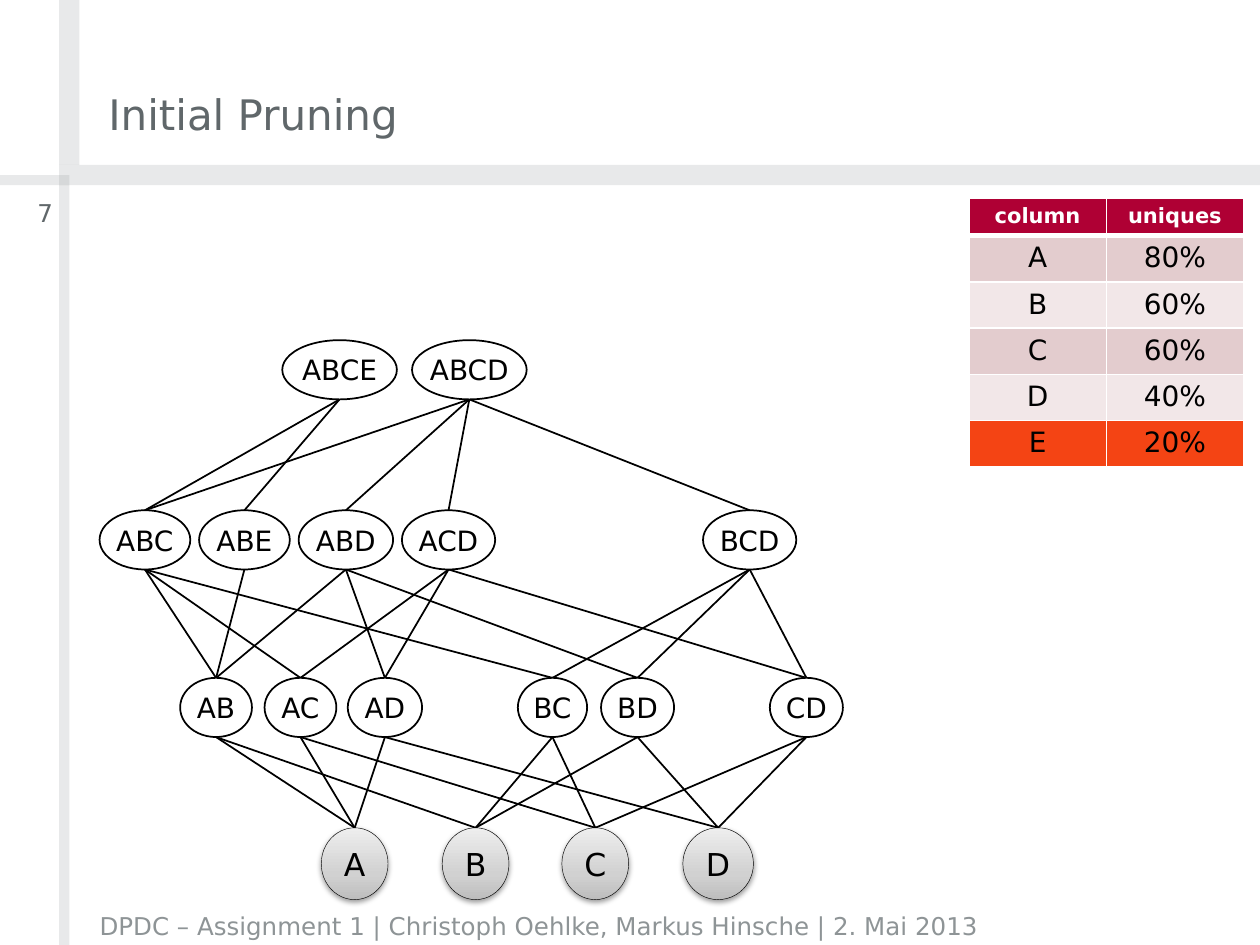
"""Build the slide on initial pruning of a column combination lattice."""
import dataclasses
import itertools

import lxml.etree
import pptx
import pptx.dml.color
import pptx.enum.shapes
import pptx.enum.text
import pptx.oxml
import pptx.oxml.ns
import pptx.util

Inches = pptx.util.Inches
RGBColor = pptx.dml.color.RGBColor
Align = pptx.enum.text.PP_ALIGN
Anchor = pptx.enum.text.MSO_ANCHOR
Shapes = pptx.enum.shapes.MSO_SHAPE
qn = pptx.oxml.ns.qn
NAMESPACE = pptx.oxml.ns.nsdecls("a")


@dataclasses.dataclass(frozen=True)
class Theme:
    font: str = "DejaVu Sans"
    black: str = "000000"
    white: str = "FFFFFF"
    gray: str = "8E9496"
    slate: str = "60676A"
    header: str = "AF0034"
    bands: tuple = ("E3CCCE", "F2E7E8")
    pruned: str = "F44414"
    gradient: tuple = ((0, "BDBDBD"), (35, "D1D1D1"), (100, "EEEEEE"))
    title_size: int = 24
    column_size: int = 18
    node_size: int = 16
    footer_size: int = 14
    header_size: int = 12


theme = Theme()


def write(frame, text, size, color=theme.black, bold=False, align=Align.LEFT,
          anchor=None, wrap=None, margin=None):
    """Put one formatted line of text into a text frame."""
    if anchor is not None:
        frame.vertical_anchor = anchor
    if wrap is not None:
        frame.word_wrap = wrap
    if margin is not None:
        frame.margin_left = frame.margin_right = Inches(margin)
        frame.margin_top = frame.margin_bottom = Inches(margin)
    paragraph = frame.paragraphs[0]
    paragraph.alignment = align
    run = paragraph.add_run()
    run.text = text
    run.font.name = theme.font
    run.font.size = pptx.util.Pt(size)
    run.font.bold = bold
    run.font.color.rgb = RGBColor.from_string(color)


presentation = pptx.Presentation()
presentation.slide_width = Inches(10)
presentation.slide_height = Inches(7.5)
slide = presentation.slides.add_slide(presentation.slide_layouts[5])

for box in ((0.47, 0, 0.16, 1.31), (0.47, 1.31, 9.53, 0.16),
            (0.47, 1.47, 0.08, 6.03), (0, 1.39, 0.55, 0.08)):
    bar = slide.shapes.add_shape(Shapes.RECTANGLE, *map(Inches, box))
    bar.shadow.inherit = False
    bar.line.fill.background()
    bar.fill.solid()
    bar.fill.fore_color.rgb = RGBColor.from_string(theme.gray)
    color = bar.fill._xPr.find(".//" + qn("a:srgbClr"))
    lxml.etree.SubElement(color, qn("a:alpha")).set("val", "20000")

title = slide.shapes.title
title.left, title.top, title.width, title.height = map(Inches, (0.86, 0, 6.83, 1.1))
write(title.text_frame, "Initial Pruning", size=theme.title_size, color=theme.slate,
      anchor=Anchor.BOTTOM, wrap=True, margin=0)

footer = slide.shapes.add_textbox(*map(Inches, (0.79, 7.18, 8.94, 0.28)))
write(footer.text_frame,
      "DPDC – Assignment 1 | Christoph Oehlke, Markus Hinsche | 2. Mai 2013",
      size=theme.footer_size, color=theme.gray, anchor=Anchor.BOTTOM, wrap=True, margin=0)

page_number = slide.shapes.add_textbox(*map(Inches, (-0.18, 1.57, 0.6, 0.36)))
write(page_number.text_frame, "7", size=theme.footer_size, color=theme.slate,
      align=Align.RIGHT, anchor=Anchor.TOP, wrap=True, margin=0)

levels = [
    (2.7, 0.47, {"ABCE": (2.24, 0.91), "ABCD": (3.27, 0.91)}),
    (4.05, 0.47, {"ABC": (0.79, 0.72), "ABE": (1.58, 0.72), "ABD": (2.37, 0.75),
                  "ACD": (3.19, 0.74), "BCD": (5.58, 0.74)}),
    (5.38, 0.47, {"AB": (1.43, 0.57), "AC": (2.1, 0.57), "AD": (2.76, 0.59),
                  "BC": (4.11, 0.55), "BD": (4.77, 0.58), "CD": (6.11, 0.58)}),
    (6.57, 0.57, {"A": (2.55, 0.53), "B": (3.51, 0.53), "C": (4.46, 0.53),
                  "D": (5.42, 0.56)}),
]

for (top, height, supersets), (lower_top, _, subsets) in itertools.pairwise(levels):
    for superset, subset in itertools.product(supersets, subsets):
        if not set(subset) <= set(superset):
            continue
        left, width = supersets[superset]
        lower_left, lower_width = subsets[subset]
        edge = slide.shapes.add_connector(
            pptx.enum.shapes.MSO_CONNECTOR.STRAIGHT,
            Inches(left + width / 2), Inches(top + height),
            Inches(lower_left + lower_width / 2), Inches(lower_top))
        edge.line.width = pptx.util.Pt(1)
        edge.line.color.rgb = RGBColor.from_string(theme.black)
        lxml.etree.SubElement(edge._element.spPr, qn("a:effectLst"))

stops = "".join(f'<a:gs pos="{position * 1000}"><a:srgbClr val="{color}"/></a:gs>'
                for position, color in theme.gradient)
gradient_xml = (f'<a:gradFill {NAMESPACE} rotWithShape="1"><a:gsLst>{stops}</a:gsLst>'
                '<a:lin ang="16200000" scaled="0"/></a:gradFill>')
shadow_xml = (f'<a:outerShdw {NAMESPACE} blurRad="39370" dist="20320" dir="5400000" '
              f'rotWithShape="0"><a:srgbClr val="{theme.black}"><a:alpha val="38000"/>'
              '</a:srgbClr></a:outerShdw>')

for top, height, nodes in levels:
    for name, (left, width) in nodes.items():
        single = len(name) == 1
        node = slide.shapes.add_shape(Shapes.OVAL, *map(Inches, (left, top, width, height)))
        node.shadow.inherit = False
        node.fill.solid()
        node.fill.fore_color.rgb = RGBColor.from_string(theme.white)
        node.line.color.rgb = RGBColor.from_string(theme.black)
        node.line.width = pptx.util.Pt(0.25 if single else 1)
        if single:
            properties = node._element.spPr
            properties.replace(properties.find(qn("a:solidFill")),
                               pptx.oxml.parse_xml(gradient_xml))
            properties.find(qn("a:effectLst")).append(pptx.oxml.parse_xml(shadow_xml))
        write(node.text_frame, name, size=theme.column_size if single else theme.node_size,
              align=Align.CENTER, anchor=Anchor.MIDDLE, wrap=False)

rows = [("column", "uniques"), ("A", "80%"), ("B", "60%"), ("C", "60%"),
        ("D", "40%"), ("E", "20%")]
table = slide.shapes.add_table(len(rows), 2, *map(Inches, (7.69, 1.57, 2.18, 1.97))).table
for column in table.columns:
    column.width = Inches(1.09)
for row_index, values in enumerate(rows):
    heading = row_index == 0
    table.rows[row_index].height = Inches(0.27 if heading else 0.34)
    if heading:
        fill = theme.header
    elif values[0] == "E":
        fill = theme.pruned
    else:
        fill = theme.bands[(row_index - 1) % 2]
    border_widths = {"lnL": 1, "lnR": 1, "lnT": 3 if row_index == 1 else 1,
                     "lnB": 3 if heading else 1}
    for column_index, value in enumerate(values):
        cell = table.cell(row_index, column_index)
        cell.fill.solid()
        cell.fill.fore_color.rgb = RGBColor.from_string(fill)
        for position, (side, points) in enumerate(border_widths.items()):
            cell._tc.tcPr.insert(position, pptx.oxml.parse_xml(
                f'<a:{side} {NAMESPACE} w="{points * 12700}"><a:solidFill>'
                f'<a:srgbClr val="{theme.white}"/></a:solidFill></a:{side}>'))
        write(cell.text_frame, value,
              size=theme.header_size if heading else theme.node_size,
              color=theme.white if heading else theme.black,
              bold=heading, align=Align.CENTER)

presentation.save("out.pptx")
